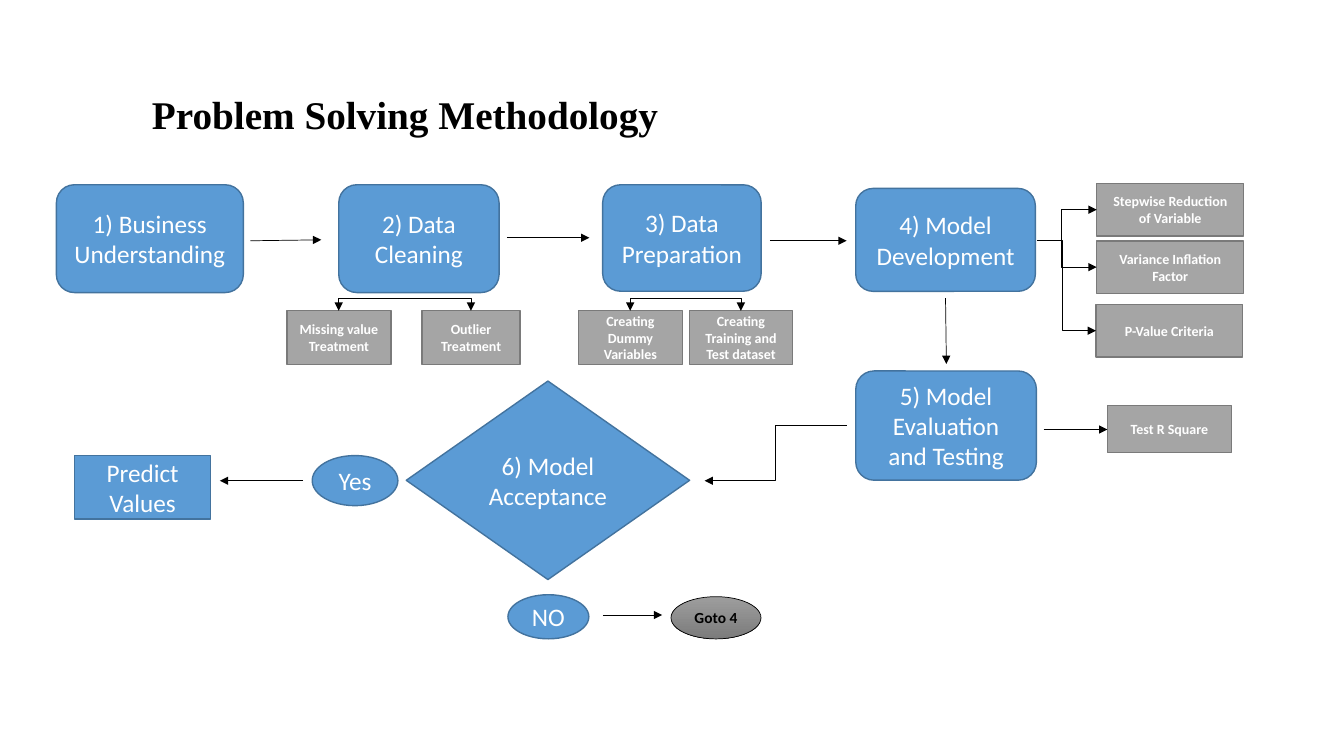
"""Build the Problem Solving Methodology flowchart slide."""
from pptx import Presentation
from pptx import util as u
from pptx.dml.color import RGBColor
from pptx.enum import shapes, text
from pptx.oxml.ns import qn
from lxml import etree

COLORS = {"blue": "5B9BD5", "blue_edge": "43739E", "gray": "A5A5A5", "gray_edge": "7A7A7A",
          "light": "9D9D9D", "dark": "7C7C7C", "white": "FFFFFF", "black": "000000"}
RGB = {name: RGBColor.from_string(value) for name, value in COLORS.items()}
KIND = shapes.MSO_SHAPE

presentation = Presentation()
presentation.slide_width, presentation.slide_height = u.Pt(960), u.Pt(540)
slide = presentation.slides.add_slide(presentation.slide_layouts[6])


def write(shape, words, size=18, color="white", bold=False, font="Calibri",
          align=text.PP_ALIGN.CENTER):
    frame = shape.text_frame
    frame.word_wrap = True
    frame.vertical_anchor = text.MSO_ANCHOR.MIDDLE
    paragraph = frame.paragraphs[0]
    paragraph.alignment = align
    run = paragraph.add_run()
    run.text = words
    run.font.size, run.font.bold, run.font.name = u.Pt(size), bold, font
    run.font.color.rgb = RGB[color]


def add_arrow(start, end, preset="line", bend=None):
    elbow = preset.startswith("bent")
    kind = shapes.MSO_CONNECTOR.ELBOW if elbow else shapes.MSO_CONNECTOR.STRAIGHT
    arrow = slide.shapes.add_connector(kind, *[u.Pt(value) for value in (*start, *end)])
    arrow.line.width = u.Pt(0.5)
    arrow.line.color.rgb = RGB["black"]
    properties = arrow._element.spPr
    etree.SubElement(properties.find(qn("a:ln")), qn("a:tailEnd"), type="triangle")
    etree.SubElement(properties, qn("a:effectLst"))
    geometry = properties.find(qn("a:prstGeom"))
    geometry.set("prst", preset)
    if bend is not None:
        adjustments = geometry.find(qn("a:avLst"))
        if adjustments is None:
            adjustments = etree.SubElement(geometry, qn("a:avLst"))
        share = round((bend - start[0]) / (end[0] - start[0]) * 100000)
        etree.SubElement(adjustments, qn("a:gd"), name="adj1", fmla=f"val {share}")


title = slide.shapes.add_textbox(u.Pt(101.5), u.Pt(47), u.Pt(720), u.Pt(68))
write(title, "Problem Solving Methodology", size=28, color="black", bold=True,
      font="Times New Roman", align=text.PP_ALIGN.LEFT)

steps = [
    (KIND.ROUNDED_RECTANGLE, "1) Business Understanding", 40.3, 132, 133.5, 77),
    (KIND.ROUNDED_RECTANGLE, "2) Data Cleaning", 242, 132, 114.5, 77),
    (KIND.ROUNDED_RECTANGLE, "3) Data Preparation", 430.5, 132, 113.2, 76),
    (KIND.ROUNDED_RECTANGLE, "4) Model Development", 611.3, 134.6, 128.3, 73.5),
    (KIND.ROUNDED_RECTANGLE, "5) Model Evaluation and Testing", 611.3, 265, 129, 78),
    (KIND.FLOWCHART_DECISION, "6) Model Acceptance", 290.2, 272.2, 202.4, 141.8),
    (KIND.OVAL, "NO", 362.8, 424.8, 57.8, 31.5),
    (KIND.OVAL, "Yes", 223, 325.4, 61.2, 35.8),
    (KIND.RECTANGLE, "Predict Values", 53.3, 325.4, 97.2, 45.4),
]
details = [
    ("Missing value Treatment", 205, 222, 74.2, 38.2),
    ("Outlier Treatment", 301.5, 222, 70, 38.2),
    ("Creating Dummy Variables", 413.2, 222, 74.2, 38.2),
    ("Creating Training and Test dataset", 492.5, 222, 73.5, 38.2),
    ("Stepwise Reduction of Variable", 783.4, 131, 105, 37.5),
    ("Variance Inflation Factor", 783.4, 172, 105, 37.5),
    ("P-Value Criteria", 782.8, 217.4, 105, 37.5),
    ("Test R Square", 791, 289.5, 88.6, 33.8),
]
blue_style = ("blue", "blue_edge", 1, {})
gray_style = ("gray", "gray_edge", 1, {"size": 10, "bold": True})
goto_style = (None, "black", 0.5, {"size": 11, "bold": True, "color": "black"})
nodes = [(step, blue_style) for step in steps]
nodes += [((KIND.RECTANGLE, *detail), gray_style) for detail in details]
nodes.append(((KIND.OVAL, "Goto 4", 479.3, 426.2, 64.3, 30.2), goto_style))

for (kind, words, *box), (fill, edge, width, text_format) in nodes:
    shape = slide.shapes.add_shape(kind, *[u.Pt(value) for value in box])
    shape.shadow.inherit = False
    if fill:
        shape.fill.solid()
        shape.fill.fore_color.rgb = RGB[fill]
    else:
        shape.fill.gradient()
        shape.fill.gradient_angle = 270
        for stop, shade in zip(shape.fill.gradient_stops, ("light", "dark")):
            stop.color.rgb = RGB[shade]
    shape.line.color.rgb = RGB[edge]
    shape.line.width = u.Pt(width)
    write(shape, words, **text_format)

for start, end in [
    ((178.8, 172), (229.5, 171.3)),
    ((362, 169.8), (421, 169.8)),
    ((550, 172), (604.8, 172)),
    ((675.4, 213), (676, 260)),
    ((745.5, 306.8), (791, 306.8)),
    ((430.6, 439.3), (473, 439.3)),
    ((216.5, 343.4), (157, 343.4)),
]:
    add_arrow(start, end)

for center, targets in [(301.7, (242, 336.4)), (482, (450.2, 529.2))]:
    for target in targets:
        add_arrow((center, 213), (target, 222), "bentConnector2")

for start, end, bend in [
    ((604.8, 303.8), (503.3, 343.4), 554),
    ((743, 171.4), (783.4, 149.8), 758.2),
    ((741, 172), (783.4, 190.8), 758.2),
    ((741, 172), (782.8, 236.2), 758.9),
]:
    add_arrow(start, end, "bentConnector3", bend)

presentation.save("out.pptx")
